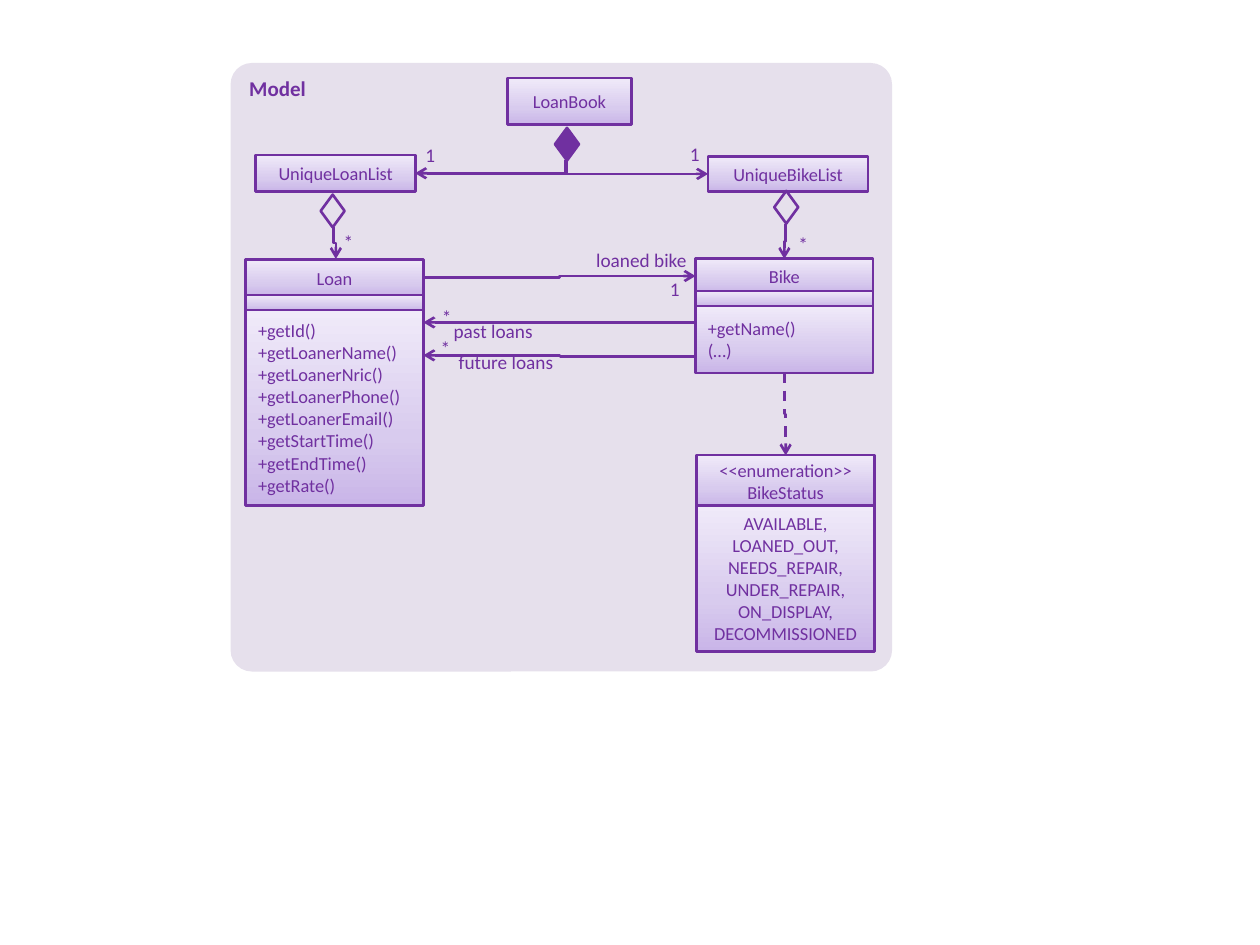
import copy

import pptx
import pptx.dml.color
import pptx.enum.dml
import pptx.enum.shapes
import pptx.enum.text
import pptx.oxml.ns
import pptx.oxml.xmlchemy
import pptx.util

Inches, Pt = pptx.util.Inches, pptx.util.Pt
RGBColor = pptx.dml.color.RGBColor
SHAPE = pptx.enum.shapes.MSO_SHAPE
ALIGN = pptx.enum.text.PP_ALIGN
ANCHOR = pptx.enum.text.MSO_ANCHOR
qn = pptx.oxml.ns.qn

PURPLE = RGBColor(0x70, 0x30, 0xA0)
PANEL = RGBColor(0xE6, 0xE0, 0xEC)
GRADIENT = [
    (0, RGBColor(0xC9, 0xB5, 0xE8)),
    (0.35, RGBColor(0xD8, 0xCB, 0xEE)),
    (1, RGBColor(0xF0, 0xEA, 0xF9)),
]

prs = pptx.Presentation()
prs.slide_width, prs.slide_height = Inches(10), Inches(7.5)
s = prs.slides.add_slide(prs.slide_layouts[6])


def write(sp, text, size, align, anchor=ANCHOR.TOP, bold=False):
    tf = sp.text_frame
    tf.word_wrap = True
    tf.vertical_anchor = anchor
    tf.text = text
    for p in tf.paragraphs:
        p.alignment = align
        for r in p.runs:
            r.font.size = Pt(size)
            r.font.name = "Calibri"
            r.font.bold = bold
            r.font.color.rgb = PURPLE


def add_shape(kind, left, top, width, height):
    sp = s.shapes.add_shape(kind, Inches(left), Inches(top), Inches(width), Inches(height))
    sp.shadow.inherit = False
    sp.line.color.rgb = PURPLE
    sp.line.width = Pt(1.5)
    return sp


# Model panel
sp = add_shape(SHAPE.ROUNDED_RECTANGLE, 1.83, 0.5, 5.25, 4.83)
sp.adjustments[0] = 0.035
sp.fill.solid()
sp.fill.fore_color.rgb = PANEL
sp.line.fill.background()
write(sp, "Model", 12, ALIGN.LEFT, bold=True)

# Class boxes: left, top, width, height, text, alignment
loan_methods = ["Id", "LoanerName", "LoanerNric", "LoanerPhone", "LoanerEmail",
                "StartTime", "EndTime", "Rate"]
statuses = ("AVAILABLE, LOANED_OUT,\nNEEDS_REPAIR, UNDER_REPAIR, ON_DISPLAY,\n"
            "DECOMMISSIONED")
boxes = [
    (4.03, 0.62, 0.98, 0.37, "LoanBook", ALIGN.CENTER),
    (2.03, 1.23, 1.27, 0.29, "UniqueLoanList", ALIGN.CENTER),
    (5.62, 1.24, 1.27, 0.28, "UniqueBikeList", ALIGN.CENTER),
    (1.95, 2.06, 1.41, 0.29, "Loan", ALIGN.CENTER),
    (1.95, 2.46, 1.41, 1.55, "\n".join(f"+get{m}()" for m in loan_methods), ALIGN.LEFT),
    (1.95, 2.34, 1.41, 0.12, "", ALIGN.CENTER),
    (5.52, 2.05, 1.41, 0.28, "Bike", ALIGN.CENTER),
    (5.52, 2.43, 1.41, 0.53, "+getName()\n(…)", ALIGN.LEFT),
    (5.52, 2.31, 1.41, 0.12, "", ALIGN.CENTER),
    (5.53, 3.61, 1.41, 0.41, "<<enumeration>>\nBikeStatus", ALIGN.CENTER),
    (5.53, 4.01, 1.41, 1.16, statuses, ALIGN.CENTER),
]
for left, top, width, height, text, align in boxes:
    sp = add_shape(SHAPE.RECTANGLE, left, top, width, height)
    sp.fill.gradient()
    sp.fill.gradient_angle = 90
    stops = sp._element.spPr.find(".//" + qn("a:gsLst"))
    stops.append(copy.deepcopy(stops[0]))
    for stop, (position, color) in zip(sp.fill.gradient_stops, GRADIENT):
        stop.position = position
        stop.color.rgb = color
    if text:
        write(sp, text, 10.5, align, ANCHOR.MIDDLE)

# Composition (filled) and aggregation (hollow) diamonds
for left, top, filled in [(4.37, 1.05, True), (2.51, 1.58, False), (6.11, 1.55, False)]:
    sp = add_shape(SHAPE.FLOWCHART_DECISION, left, top, 0.26, 0.19)
    sp.rotation = 90
    if filled:
        sp.fill.solid()
        sp.fill.fore_color.rgb = PURPLE
    else:
        sp.fill.background()

# Elbow arrows: unrotated frame, rotation, flip, preset, arrow end, dashed
elbows = [
    (3.84, 0.72, 0.11, 1.2, 90, "", "bentConnector2", "tailEnd", False),
    (5, 0.76, 0.11, 1.13, 270, "flipH", "bentConnector2", "tailEnd", False),
    (2.53, 1.92, 0.25, 0.02, 270, "flipH", "bentConnector3", "tailEnd", False),
    (6.09, 1.91, 0.28, 0.01, 90, "", "bentConnector3", "tailEnd", False),
    (3.36, 2.19, 2.16, 0.01, 180, "flipV", "bentConnector3", "headEnd", False),
    (3.36, 2.56, 2.16, 0, 180, "flipV", "bentConnector3", "tailEnd", False),
    (3.36, 2.82, 2.17, 0.01, 180, "", "bentConnector3", "tailEnd", False),
    (5.9, 3.28, 0.66, 0.01, 270, "flipH", "bentConnector3", "tailEnd", True),
]
for left, top, width, height, angle, flip, preset, end, dashed in elbows:
    c = s.shapes.add_connector(pptx.enum.shapes.MSO_CONNECTOR.ELBOW, Inches(left), Inches(top),
                               Inches(left + width), Inches(top + height))
    c.line.color.rgb = PURPLE
    c.line.width = Pt(1.5)
    if dashed:
        c.line.dash_style = pptx.enum.dml.MSO_LINE.DASH
    spPr = c._element.spPr
    xfrm = spPr.find(qn("a:xfrm"))
    xfrm.set("rot", str(angle * 60000))
    if flip:
        xfrm.set(flip, "1")
    spPr.find(qn("a:prstGeom")).set("prst", preset)
    ln = spPr.find(qn("a:ln"))
    ln.append(ln.makeelement(qn("a:" + end), {"type": "arrow"}))
    spPr.append(spPr.makeelement(qn("a:effectLst"), {}))

# Multiplicities and role names
labels = [(left, top, 0.21, 0.2, text, ALIGN.CENTER) for left, top, text in [
    (3.31, 1.14, "1"), (5.41, 1.13, "1"), (5.25, 2.2, "1"),
    (2.66, 1.83, "*"), (6.27, 1.84, "*"), (3.44, 2.42, "*"), (3.43, 2.67, "*"),
]]
labels += [
    (4.39, 1.97, 1.06, 0.22, "loaned bike", ALIGN.RIGHT),
    (3.6, 2.53, 1.32, 0.18, "past loans", ALIGN.LEFT),
    (3.64, 2.78, 1.32, 0.18, "future loans", ALIGN.LEFT),
]
for left, top, width, height, text, align in labels:
    sp = s.shapes.add_textbox(Inches(left), Inches(top), Inches(width), Inches(height))
    tf = sp.text_frame
    tf.margin_left = tf.margin_right = tf.margin_top = tf.margin_bottom = 0
    write(sp, text, 11, align)

prs.save("out.pptx")
